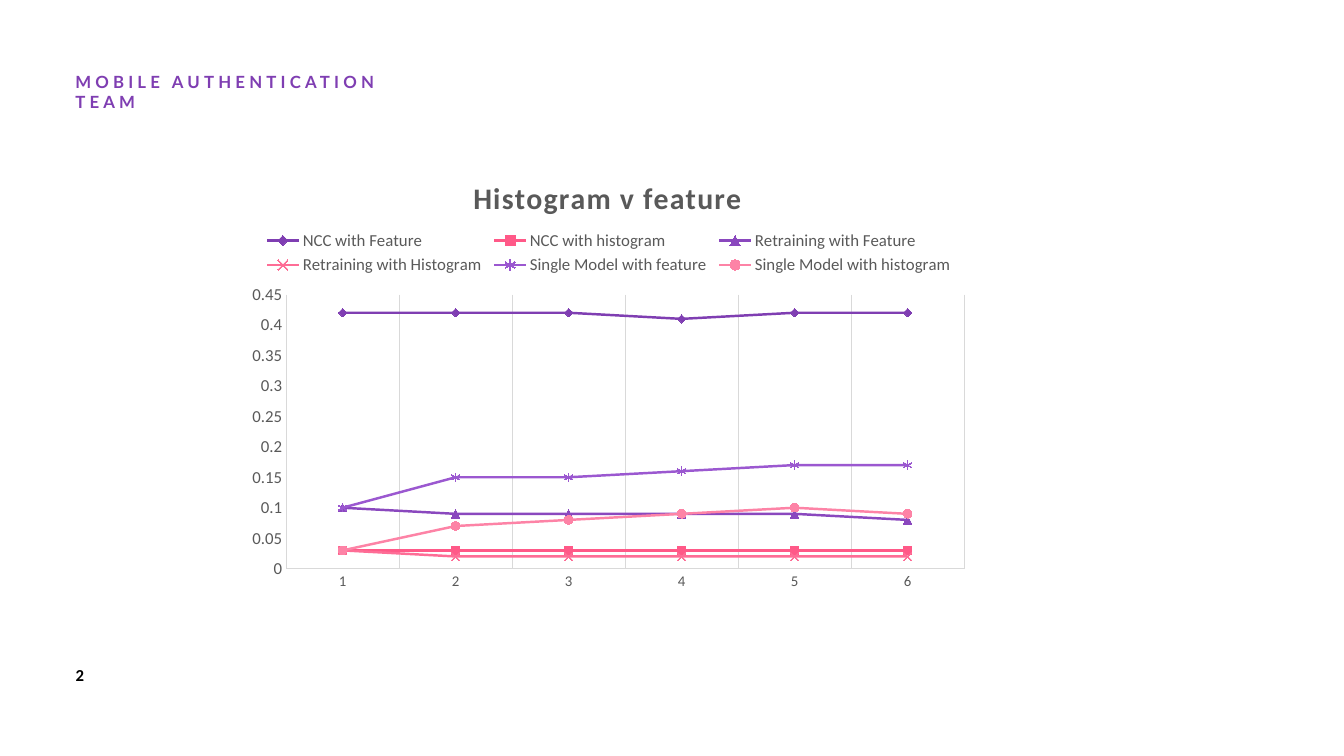
from lxml.etree import SubElement
from pptx import Presentation
from pptx.chart.data import CategoryChartData
from pptx.dml.color import RGBColor
from pptx.enum.chart import XL_CHART_TYPE, XL_LEGEND_POSITION, XL_MARKER_STYLE, XL_TICK_MARK
from pptx.oxml import parse_xml
from pptx.oxml.ns import nsdecls, qn
from pptx.util import Inches, Pt

WIDE, HIGH = Inches(13.33), Inches(7.5)
GRAY, PALE = "595959", "D9D9D9"
SERIES = [
    ("NCC with Feature", "7F3EB2", "DIAMOND", (0.42, 0.42, 0.42, 0.41, 0.42, 0.42)),
    ("NCC with histogram", "FF5988", "SQUARE", (0.03, 0.03, 0.03, 0.03, 0.03, 0.03)),
    ("Retraining with Feature", "8A48BE", "TRIANGLE", (0.1, 0.09, 0.09, 0.09, 0.09, 0.08)),
    ("Retraining with Histogram", "FE6D96", "X", (0.03, 0.02, 0.02, 0.02, 0.02, 0.02)),
    ("Single Model with feature", "9B58D0", "STAR", (0.1, 0.15, 0.15, 0.16, 0.17, 0.17)),
    ("Single Model with histogram", "FD83A6", "CIRCLE", (0.03, 0.07, 0.08, 0.09, 0.1, 0.09)),
]


def color(code):
    return RGBColor.from_string(code)


def box(x, y, w, h):
    return int(WIDE * x), int(HIGH * y), int(WIDE * w), int(HIGH * h)


def style(font, size, code, face="Calibri", bold=False):
    font.size, font.name, font.bold = Pt(size), face, bold
    font.color.rgb = color(code)


def space(run, points):
    run.font._element.set("spc", str(int(points * 100)))


def label(slide, text, area, code, face, gap=0, inset=0.1):
    frame = slide.shapes.add_textbox(*box(*area)).text_frame
    frame.word_wrap = True
    frame.margin_left = frame.margin_right = Inches(inset)
    frame.text = text
    run = frame.paragraphs[0].runs[0]
    style(run.font, 12, code, face, True)
    space(run, gap)


def stroke(line, code, width):
    line.color.rgb = color(code)
    line.width = Pt(width)


def place(part, inner=False, **sides):
    for old in part.findall(qn("c:layout")):
        part.remove(old)
    layout = parse_xml(f"<c:layout {nsdecls('c')}/>")
    manual = SubElement(layout, qn("c:manualLayout"))
    rules = {"layoutTarget": "inner"} if inner else {}
    rules.update(xMode="edge", yMode="edge", **sides)
    for name, value in rules.items():
        SubElement(manual, qn(f"c:{name}")).set("val", str(value))
    before = part.find(qn("c:tx"))
    if before is None:
        before = part.find(qn("c:legendPos"))
    if before is None:
        part.insert(0, layout)
    else:
        before.addnext(layout)


def axis(item, size, grid):
    item.has_major_gridlines = grid
    item.major_tick_mark = item.minor_tick_mark = XL_TICK_MARK.NONE
    style(item.tick_labels.font, size, GRAY)
    stroke(item.format.line, PALE, 0.75)
    if grid:
        stroke(item.major_gridlines.format.line, PALE, 0.75)


def paint(line, code, shape):
    line.smooth = False
    stroke(line.format.line, code, 1.75)
    mark = line.marker
    mark.style, mark.size = XL_MARKER_STYLE[shape], 6
    stroke(mark.format.line, code, 0.75)
    if shape in ("X", "STAR"):
        mark.format.fill.background()
    else:
        mark.format.fill.solid()
        mark.format.fill.fore_color.rgb = color(code)


def title(chart, text):
    chart.has_title = True
    frame = chart.chart_title.text_frame
    frame.text = text
    run = frame.paragraphs[0].runs[0]
    style(run.font, 21.3, GRAY, bold=True)
    space(run, 1)
    chart.chart_title.include_in_layout = False
    place(chart.chart_title._element, x=0.31, y=0.04)


def legend(chart):
    chart.has_legend = True
    key = chart.legend
    key.position = XL_LEGEND_POSITION.TOP
    key.include_in_layout = False
    style(key.font, 12, GRAY)
    place(key._element, x=0.03, y=0.16, w=0.94, h=0.12)


def graph(slide, area):
    data = CategoryChartData()
    data.categories = [str(n) for n in range(1, 7)]
    for name, _, _, values in SERIES:
        data.add_series(name, values)
    chart = slide.shapes.add_chart(XL_CHART_TYPE.LINE_MARKERS, *box(*area), data).chart
    style(chart.font, 10, "000000")
    title(chart, "Histogram v feature")
    legend(chart)
    axis(chart.category_axis, 10.6, True)
    axis(chart.value_axis, 12, False)
    scale = chart.value_axis
    scale.minimum_scale, scale.maximum_scale, scale.major_unit = 0, 0.45, 0.05
    scale.tick_labels.number_format = "General"
    scale.tick_labels.number_format_is_linked = False
    plot = chart.plots[0]
    plot.vary_by_categories = False
    for line, (_, code, shape, _) in zip(plot.series, SERIES):
        paint(line, code, shape)
    place(chart._chartSpace.chart.plotArea, True, x=0.065, y=0.314, w=0.914, h=0.617)


def main():
    deck = Presentation()
    deck.slide_width, deck.slide_height = WIDE, HIGH
    slide = deck.slides.add_slide(deck.slide_layouts[6])
    label(slide, "2", (0.049, 0.873, 0.03, 0.04), "000000", "Calibri")
    label(slide, "MOBILE AUTHENTICATION TEAM", (0.056, 0.088, 0.246, 0.04),
          "7F3EB2", "Lato", 3, 0)
    graph(slide, (0.177, 0.205, 0.552, 0.588))
    deck.save("out.pptx")


if __name__ == "__main__":
    main()
